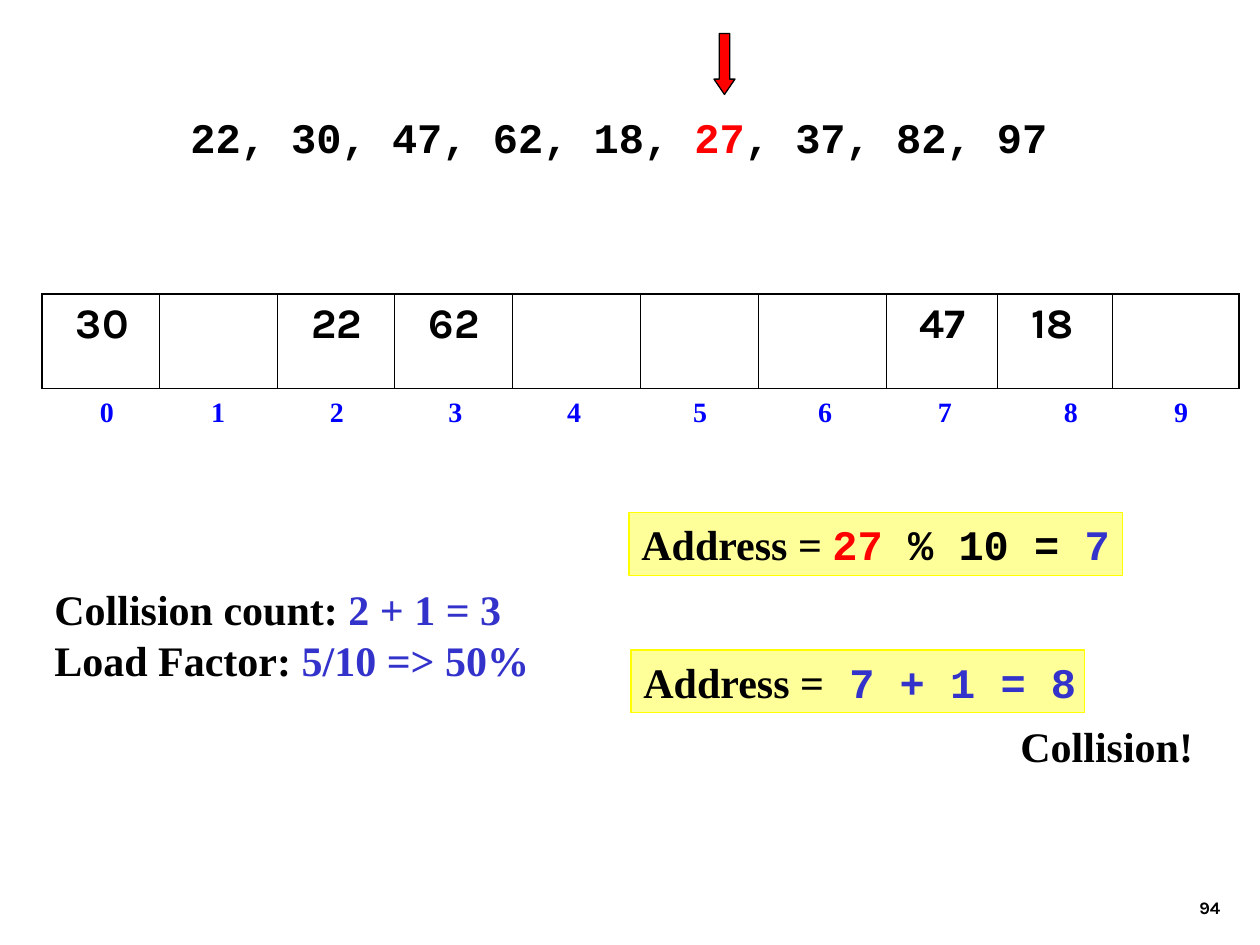
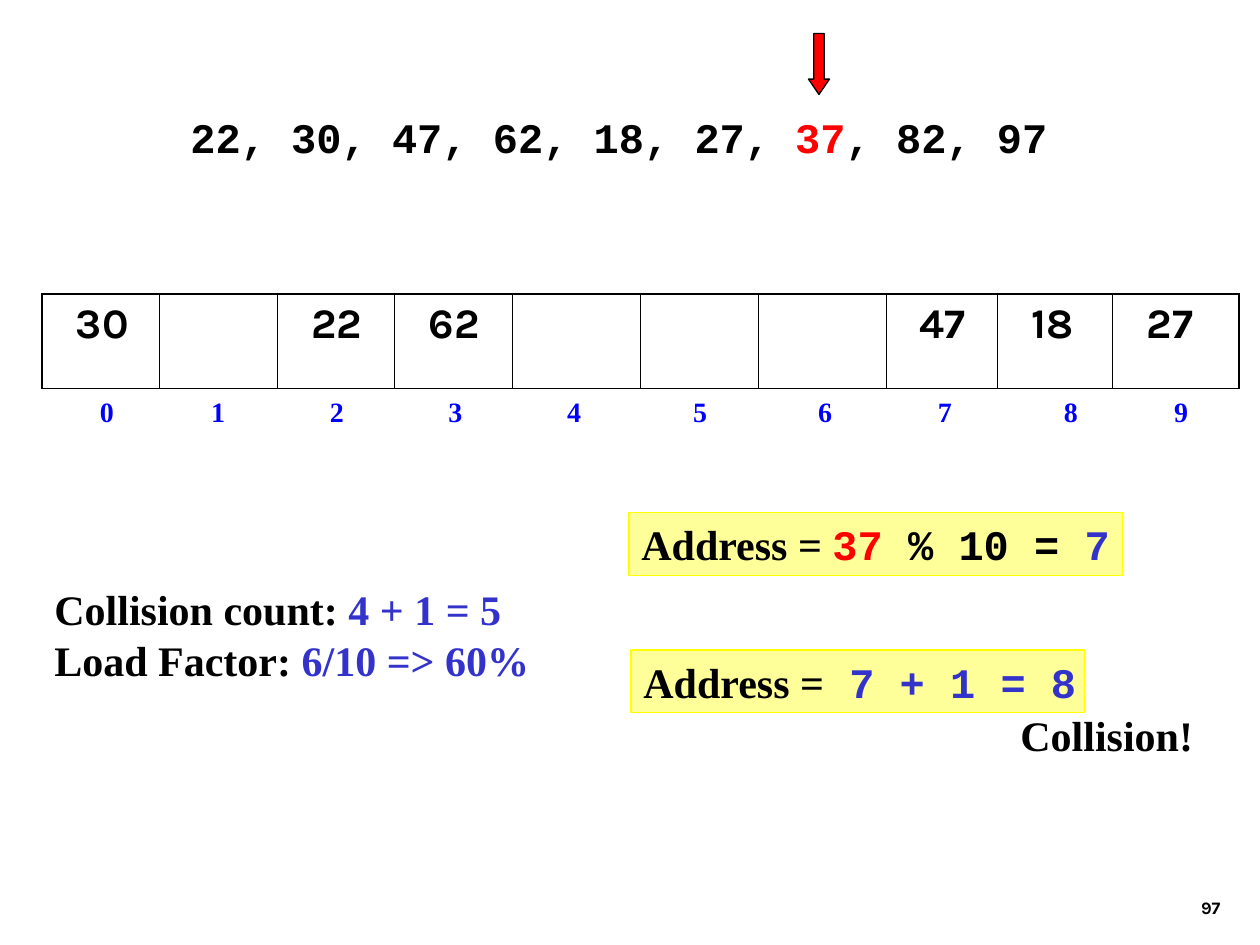
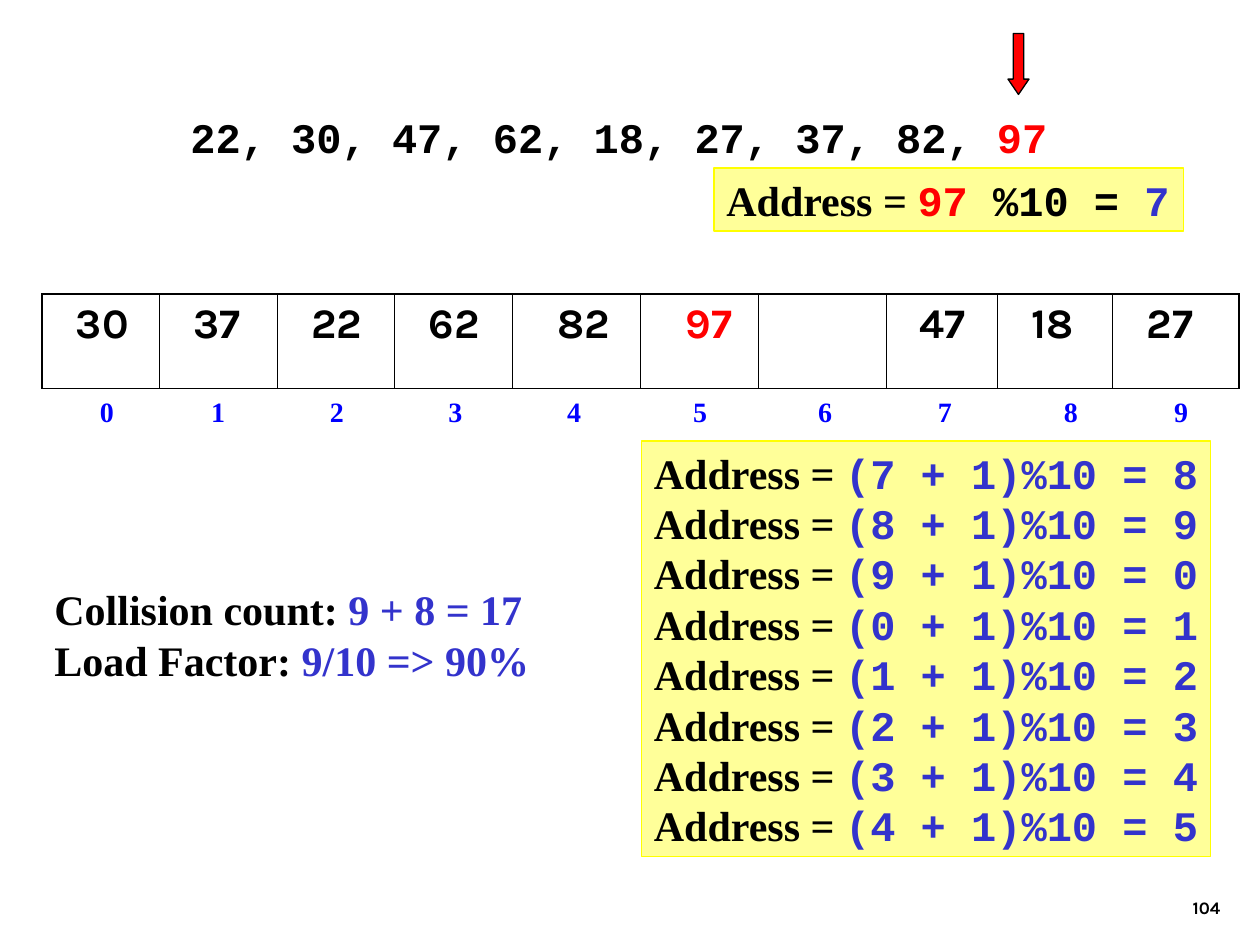
from lxml import etree
from pptx import Presentation
from pptx.dml.color import RGBColor
from pptx.enum.shapes import MSO_SHAPE
from pptx.enum.text import MSO_ANCHOR, PP_ALIGN
from pptx.oxml.ns import qn
from pptx.util import Emu, Inches, Pt

ARROW, RECT = MSO_SHAPE.DOWN_ARROW, MSO_SHAPE.RECTANGLE
LEFT, RIGHT = PP_ALIGN.LEFT, PP_ALIGN.RIGHT
TOP, BOTTOM = MSO_ANCHOR.TOP, MSO_ANCHOR.BOTTOM

BLACK, RED, BLUE, INDEX = "000000", "FF0000", "3333CC", "0000FF"
PALE, EDGE = "FFFF99", "FFFF00"
SERIF, MONO, SANS = "Times New Roman", "Courier New", "Karla"

# The slide is a grid of 120 columns by 90 rows
COLS = 120
WIDTH, HEIGHT = Inches(10), Inches(7.5)
UNIT = WIDTH // COLS

KEYS = [22, 30, 47, 62, 18, 27, 37, 82, 97]
SLOTS = [11.2, 11.2, 11.2, 11.2, 12.2, 11.2, 12.2, 10.6, 11, 12]
STOPS = [6, 16.6, 27.9, 39.2, 50.5, 62.5, 74.4, 85.8, 97.8, 108.3]


def grid(*units):
    return [Emu(round(u * UNIT)) for u in units]


def paint(hue):
    return RGBColor.from_string(hue)


def write(para, runs, size=24):
    """Add (text, colour, font) runs to a paragraph."""
    for text, hue, face in runs:
        run = para.add_run()
        run.text = text
        font = run.font
        font.name, font.size, font.bold = face, Pt(size), True
        font.color.rgb = paint(hue)


def fill_text(frame, lines, size=24, wrap=False, align=LEFT, anchor=TOP):
    frame.word_wrap = wrap
    frame.vertical_anchor = anchor
    for i, runs in enumerate(lines):
        para = frame.add_paragraph() if i else frame.paragraphs[0]
        para.alignment = align
        write(para, runs, size)


def label(slide, spot, lines, **style):
    box = slide.shapes.add_textbox(*grid(*spot))
    fill_text(box.text_frame, lines, **style)


def block(slide, kind, spot, hue, edge):
    shape = slide.shapes.add_shape(kind, *grid(*spot))
    shape.shadow.inherit = False
    shape.fill.solid()
    shape.fill.fore_color.rgb = paint(hue)
    shape.line.color.rgb = paint(edge)
    shape.line.width = Pt(0.75)
    return shape


def note(slide, spot, lines):
    """Yellow box with one address sum per line."""
    fill_text(block(slide, RECT, spot, PALE, EDGE).text_frame, lines)


def hash_sum(key, mod):
    return [("Address = ", BLACK, SERIF), (str(key), RED, MONO),
            (f" {mod} = ", BLACK, MONO), (str(key % 10), BLUE, MONO)]


def probe_sum(slot):
    return [("Address = ", BLACK, SERIF),
            (f"({slot} + 1)%10 = {(slot + 1) % 10}", BLUE, MONO)]


def border(side, width):
    line = etree.Element(qn(f"a:ln{side}"), w=str(Pt(width)))
    solid = etree.SubElement(line, qn("a:solidFill"))
    etree.SubElement(solid, qn("a:srgbClr"), val=BLACK)
    return line


def hash_table(slide, held, key):
    frame = slide.shapes.add_table(1, len(SLOTS), *grid(4, 28, sum(SLOTS), 9))
    table = frame.table
    table.first_row = table.horz_banding = False
    last = len(SLOTS) - 1
    for i, (width, cell) in enumerate(zip(SLOTS, table.rows[0].cells)):
        table.columns[i].width = grid(width)[0]
        cell.fill.background()
        sides = {"L": 0.45 if i else 1.08, "R": 0.45 if i < last else 1.08,
                 "T": 1.08, "B": 1.08}
        props = cell._tc.get_or_add_tcPr()
        for n, (side, thick) in enumerate(sides.items()):
            props.insert(n, border(side, thick))
        if i in held:
            cell.margin_left = Inches(0.36 if i in (4, 5) else 0.27)
            hue = RED if held[i] == key else BLACK
            write(cell.text_frame.paragraphs[0], [(str(held[i]), hue, SANS)])


def index_row(slide):
    """Slot numbers, each centred on its own tab stop."""
    box = slide.shapes.add_textbox(*grid(3, 37, 115, 7.7))
    box.text_frame.word_wrap = True
    para = box.text_frame.paragraphs[0]
    tabs = etree.SubElement(para._p.get_or_add_pPr(), qn("a:tabLst"))
    for stop in grid(*STOPS):
        etree.SubElement(tabs, qn("a:tab"), pos=str(stop), algn="ctr")
    text = "".join(f"\t{i}" for i in range(len(STOPS)))
    write(para, [(text, INDEX, SERIF)], 16)


def key_list(slide, key):
    at = KEYS.index(key)
    before = "".join(f"{k}, " for k in KEYS[:at])
    after = "".join(f", {k}" for k in KEYS[at + 1:])
    runs = [(before, BLACK, MONO), (str(key), RED, MONO)]
    if after:
        runs.append((after, BLACK, MONO))
    label(slide, (16.95, 10, 85, 6), [runs])


def step(deck, page, key, point, held, count, load):
    """Everything that each insertion step shows."""
    slide = deck.slides.add_slide(deck.slide_layouts[6])
    label(slide, (92.4, 82, 25, 6), [[(str(page), BLACK, SANS)]],
          size=10, wrap=True, align=RIGHT, anchor=BOTTOM)
    index_row(slide)
    hash_table(slide, held, key)
    key_list(slide, key)
    arrow = block(slide, ARROW, (point, 3.2, 2, 5.8), RED, BLACK)
    arrow.adjustments[0], arrow.adjustments[1] = 0.5, 0.73
    label(slide, (4, 55, 48.5, 10.8), [
        [("Collision count: ", BLACK, SERIF), (count, BLUE, SERIF)],
        [("Load Factor: ", BLACK, SERIF),
         (f"{load}/10 => {load}0%", BLUE, SERIF)]])
    return slide


def clash(slide, key, top):
    """First probe of a key that meets a taken slot."""
    note(slide, (59.9, 48.8, 47, 6), [hash_sum(key, "% 10")])
    note(slide, (60.1, 61.9, 43.2, 6),
         [[("Address =", BLACK, SERIF), (" 7 + 1 = 8", BLUE, MONO)]])
    label(slide, (96, top, 20, 6), [[("Collision!", BLACK, SERIF)]])


def main():
    deck = Presentation()
    deck.slide_width, deck.slide_height = WIDTH, HEIGHT

    # Insert 27
    held = {0: 30, 2: 22, 3: 62, 7: 47, 8: 18}
    clash(step(deck, 94, 27, 68, held, "2 + 1 = 3", 5), 27, 68)

    # Insert 37
    held[9] = 27
    clash(step(deck, 97, 37, 77, held, "4 + 1 = 5", 6), 37, 67)

    # Insert 97, probing from slot 7 round to slot 5
    held.update({1: 37, 4: 82, 5: 97})
    slide = step(deck, 104, 97, 96, held, "9 + 8 = 17", 9)
    note(slide, (68, 16, 44.7, 6), [hash_sum(97, "%10")])
    note(slide, (61.1, 42, 54.2, 39.6),
         [probe_sum(n % 10) for n in range(7, 15)])

    deck.save("out.pptx")


if __name__ == "__main__":
    main()
